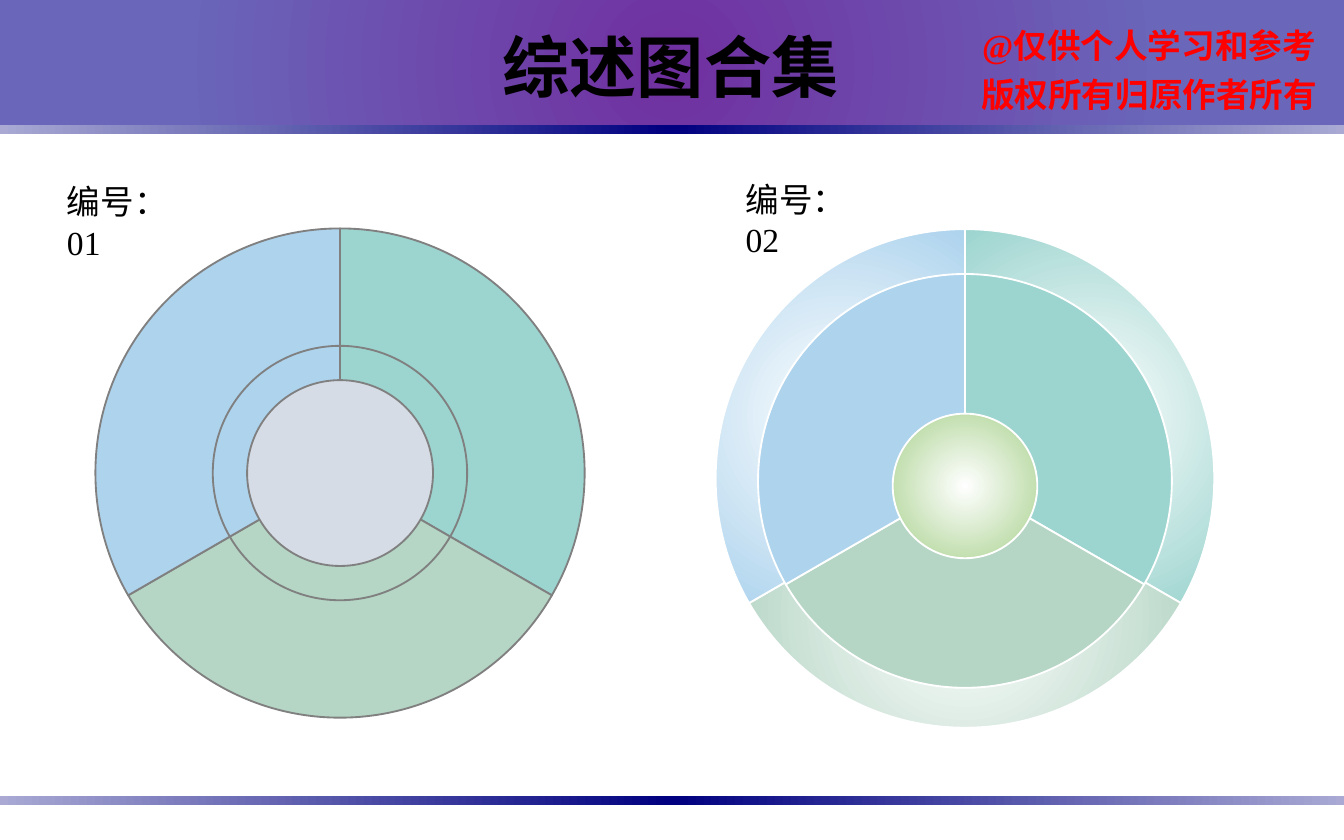
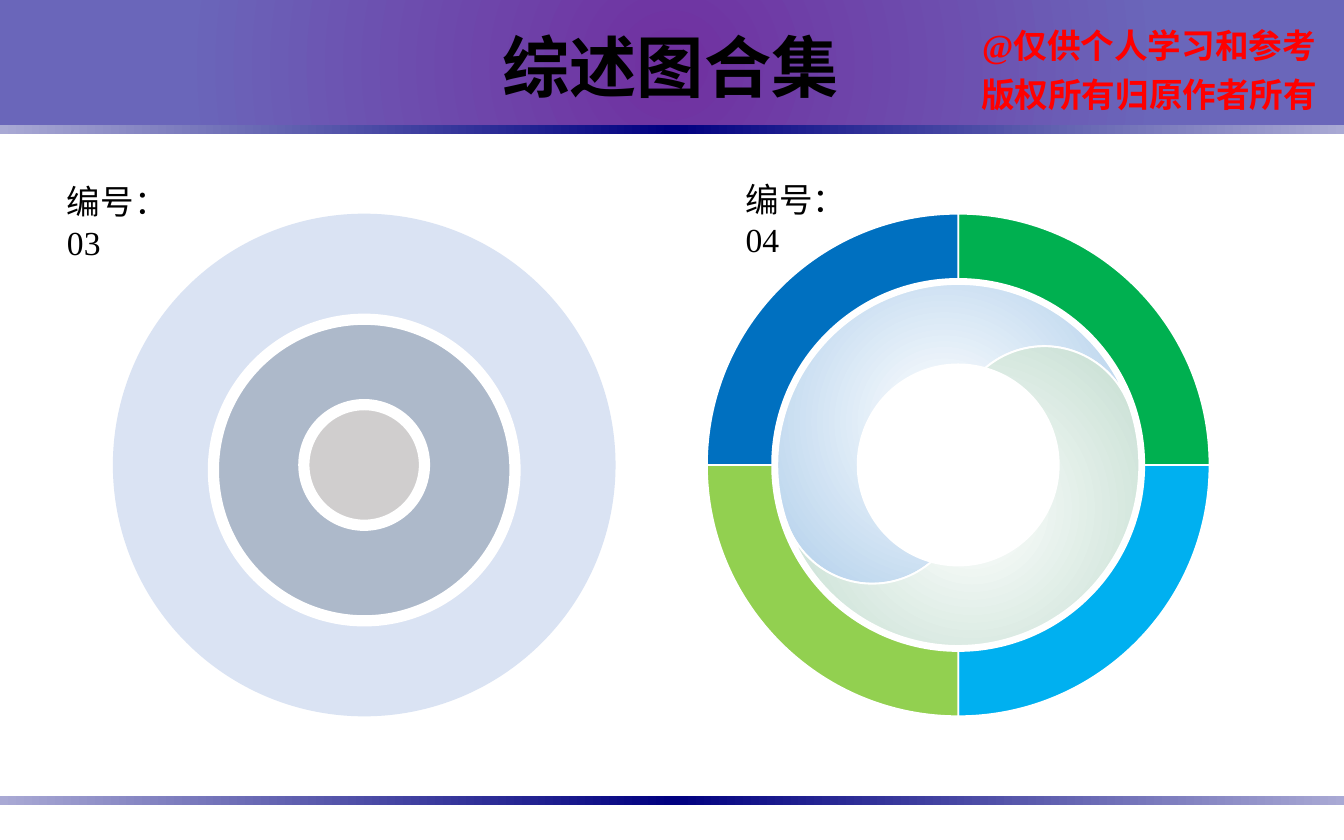
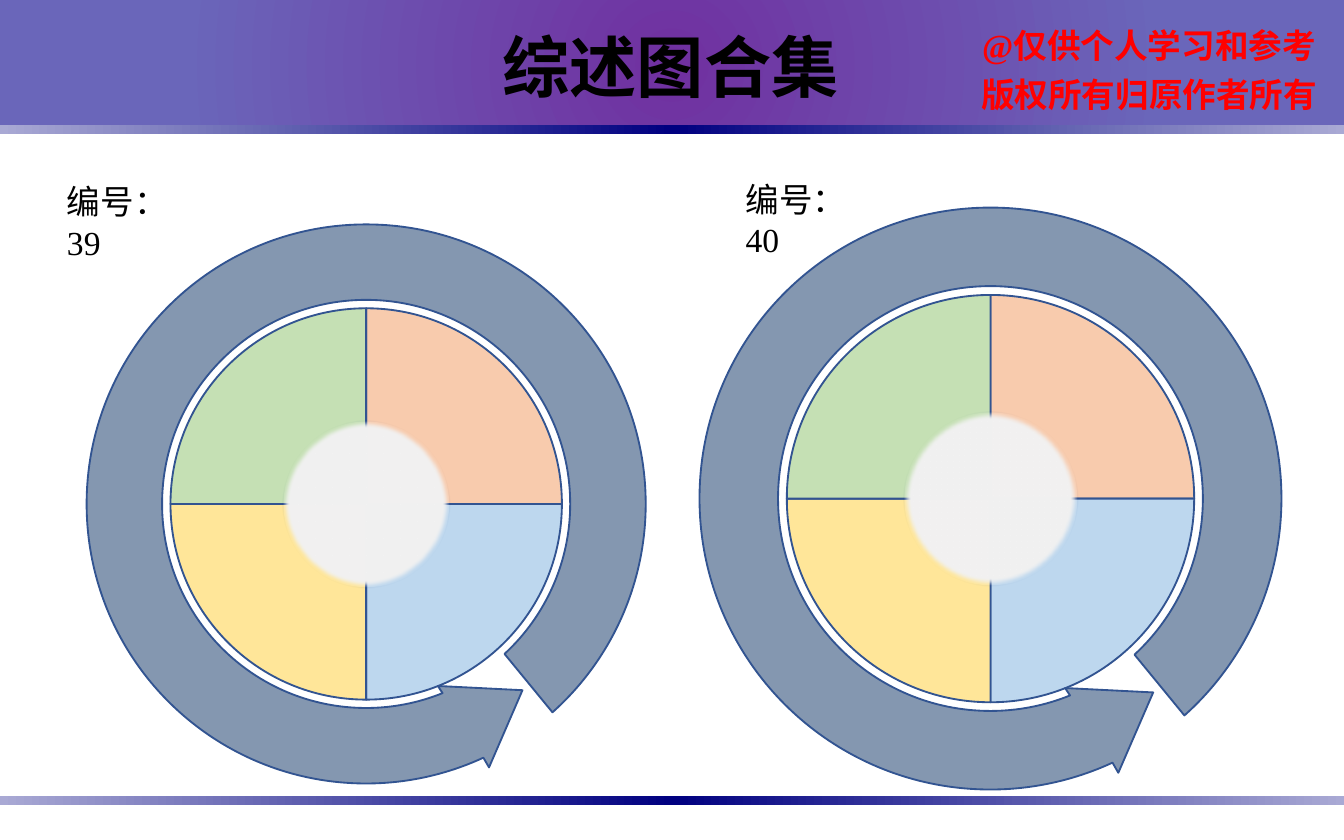
from dataclasses import dataclass
from itertools import chain, pairwise
from math import cos, radians, sin, tan

from lxml import etree
from pptx import Presentation
from pptx.dml.color import RGBColor
from pptx.enum.shapes import MSO_SHAPE as SHAPE
from pptx.enum.text import MSO_AUTO_SIZE as AUTO_SIZE, PP_ALIGN as ALIGN
from pptx.oxml.ns import qn
from pptx.util import Inches, Pt

SLIDE_W, SLIDE_H = Inches(10), Inches(6.25)
COLUMNS = 100
CELL = SLIDE_W / COLUMNS  # square cells: 100 columns by 62.5 rows

WHITE = RGBColor(0xFF, 0xFF, 0xFF)
BLACK = RGBColor(0x00, 0x00, 0x00)
RED = RGBColor(0xFF, 0x00, 0x00)
GREY = RGBColor(0x80, 0x80, 0x80)
PURPLE = RGBColor(0x70, 0x30, 0xA0)
VIOLET = RGBColor(0x6A, 0x66, 0xBA)
LAVENDER = RGBColor(0xA9, 0xA9, 0xD4)
NAVY = RGBColor(0x00, 0x00, 0x80)
TEAL = RGBColor(0x9C, 0xD4, 0xCF)
SAGE = RGBColor(0xB5, 0xD5, 0xC5)
SKY = RGBColor(0xAD, 0xD3, 0xED)
LEAF = RGBColor(0xA9, 0xD1, 0x8E)
MIST = RGBColor(0xD6, 0xDC, 0xE5)
PALE_BLUE = RGBColor(0xDA, 0xE3, 0xF3)
STEEL = RGBColor(0xAD, 0xB9, 0xCA)
SILVER = RGBColor(0xD0, 0xCE, 0xCE)
SWIRL_BLUE = RGBColor(0x9D, 0xC3, 0xE6)
GREEN = RGBColor(0x00, 0xB0, 0x50)
CYAN = RGBColor(0x00, 0xB0, 0xF0)
LIME = RGBColor(0x92, 0xD0, 0x50)
BLUE = RGBColor(0x00, 0x70, 0xC0)
PEACH = RGBColor(0xF8, 0xCB, 0xAD)
ICE = RGBColor(0xBD, 0xD7, 0xEE)
BUTTER = RGBColor(0xFF, 0xE6, 0x99)
MINT = RGBColor(0xC5, 0xE0, 0xB4)
HUB_GREY = RGBColor(0xF2, 0xF2, 0xF2)
SLATE = RGBColor(0x84, 0x97, 0xB0)
INK = RGBColor(0x32, 0x54, 0x91)

THIRDS = (TEAL, SAGE, SKY)
RING_QUARTERS = (GREEN, CYAN, LIME, BLUE)
PIE_QUARTERS = (PEACH, ICE, BUTTER, MINT)

TITLE_FONT = {"name": "Arial", "size": Pt(36), "bold": True}
NOTICE_FONT = {"name": "Times New Roman", "size": Pt(18), "bold": True}
LABEL_FONT = {"name": "Times New Roman", "size": Pt(18), "bold": False}


@dataclass(frozen=True)
class Gradient:
    stops: tuple
    radial: bool = True


HEADER_FILL = Gradient(((0, PURPLE), (73, VIOLET)))
BAND_FILL = Gradient(((0, LAVENDER), (50, NAVY), (100, LAVENDER)), radial=False)


def glow(color):
    """Radial fill from white in the middle to the colour."""
    return Gradient(((0, WHITE), (100, color)))


def gradient_element(gradient):
    fill = etree.Element(qn("a:gradFill"), rotWithShape="1")
    stops = etree.SubElement(fill, qn("a:gsLst"))
    for position, color in gradient.stops:
        stop = etree.SubElement(stops, qn("a:gs"), pos=str(position * 1000))
        etree.SubElement(stop, qn("a:srgbClr"), val=str(color))
    if gradient.radial:
        circle = etree.SubElement(fill, qn("a:path"), {"path": "circle"})
        middle = dict.fromkeys("ltrb", "50000")
        etree.SubElement(circle, qn("a:fillToRect"), middle)
    else:
        etree.SubElement(fill, qn("a:lin"), ang="0", scaled="0")
    return fill


def paint(shape, fill=None, line=None, width=1):
    shape.shadow.inherit = False
    if fill is None:
        shape.fill.background()
    else:
        shape.fill.solid()
        if isinstance(fill, Gradient):
            solid = shape.element.spPr.find(qn("a:solidFill"))
            solid.getparent().replace(solid, gradient_element(fill))
        else:
            shape.fill.fore_color.rgb = fill
    if line is None:
        shape.line.fill.background()
    else:
        shape.line.color.rgb = line
        shape.line.width = Pt(width)
    return shape


def cells(*lengths):
    return [round(length * CELL) for length in lengths]


def add_bar(slide, top, height, fill):
    box = cells(0, top, COLUMNS, height)
    return paint(slide.shapes.add_shape(SHAPE.RECTANGLE, *box), fill)


def add_disc(slide, center, radius, fill=None, line=None, width=1):
    x, y = center
    box = cells(x - radius, y - radius, 2 * radius, 2 * radius)
    return paint(slide.shapes.add_shape(SHAPE.OVAL, *box), fill, line, width)


def on_circle(center, radius, angle):
    """Point at an angle that runs clockwise from the top, in degrees."""
    x, y = center
    return x + radius * sin(radians(angle)), y - radius * cos(radians(angle))


def arc(center, radius, start, end):
    """Start point, then two handles and an end point for each Bezier curve."""
    low, high = sorted((start, end))
    cuts = [a for a in range(-360, 720, 90) if low < a < high]
    angles = [start, *sorted(cuts, reverse=start > end), end]
    points = [on_circle(center, radius, start)]
    for a, b in pairwise(angles):
        reach = 4 / 3 * tan(radians(b - a) / 4) * radius
        (ax, ay), (bx, by) = (on_circle(center, radius, angle) for angle in (a, b))
        a, b = radians(a), radians(b)
        points += [(ax + reach * cos(a), ay + reach * sin(a)),
                   (bx - reach * cos(b), by - reach * sin(b)),
                   (bx, by)]
    return points


def add_outline(slide, parts, fill, line):
    """Closed outline of parts, each a lone corner or the points of an arc."""
    first, *rest = [cells(*point) for point in chain.from_iterable(parts)]
    builder = slide.shapes.build_freeform(*first)
    builder.add_line_segments(rest, close=True)
    shape = builder.convert_to_shape()
    outline = next(shape.element.spPr.iter(qn("a:path")))
    steps = iter(list(outline))
    for part in parts:
        next(steps)
        for _ in range(len(part) // 3):
            curve = etree.Element(qn("a:cubicBezTo"))
            handle, *others = (next(steps) for _ in range(3))
            outline.replace(handle, curve)
            curve.append(handle[0])
            for other in others:
                curve.append(other[0])
                outline.remove(other)
    return paint(shape, fill, line)


def add_sectors(slide, center, inner, outer, fills, line):
    """Equal ring sectors, clockwise from the top."""
    sweep = 360 / len(fills)
    for i, fill in enumerate(fills):
        start, end = i * sweep, (i + 1) * sweep
        hole = arc(center, inner, end, start) if inner else [center]
        add_outline(slide, [arc(center, outer, start, end), hole], fill, line)


def add_text(slide, box, lines, font, color, align=ALIGN.LEFT, spacing=1):
    text_box = slide.shapes.add_textbox(*cells(*box))
    frame = text_box.text_frame
    frame.word_wrap = False
    frame.auto_size = AUTO_SIZE.SHAPE_TO_FIT_TEXT
    for i, line in enumerate(lines):
        paragraph = frame.add_paragraph() if i else frame.paragraphs[0]
        paragraph.alignment = align
        paragraph.line_spacing = spacing
        run = paragraph.add_run()
        run.text = line
        for key, value in font.items():
            setattr(run.font, key, value)
        run.font.color.rgb = color
    return frame


def add_label(slide, left, top, number):
    frame = add_text(slide, (left, top, 12.1, 4), [f"编号：{number}"], LABEL_FONT, BLACK)
    frame.word_wrap = True
    frame.margin_right = Inches(0.2)


def add_frame(slide):
    """Header, bands and title that all slides share."""
    add_bar(slide, -0.1, 9.9, HEADER_FILL)
    add_text(slide, (71.7, 0.8, 27.6, 7.9),
             ["@仅供个人学习和参考", "版权所有归原作者所有"],
             NOTICE_FONT, RED, ALIGN.CENTER, 1.2)
    for top in (9.3, 59.2):
        add_bar(slide, top, 0.7, BAND_FILL)
    add_text(slide, (36.4, 1.4, 27.3, 7.1), ["综述图合集"], TITLE_FONT, BLACK)


def three_part_wheel(slide, center, radius):
    add_sectors(slide, center, 0.19 * radius, radius, THIRDS, GREY)
    add_disc(slide, center, 0.38 * radius, MIST, GREY)
    add_disc(slide, center, 0.52 * radius, None, GREY)


def glowing_wheel(slide, center, radius):
    x, y = center
    inner_center = (x, y + 0.01 * radius)
    hub_center = (x, y + 0.03 * radius)
    rim_fills = [glow(color) for color in THIRDS]
    add_sectors(slide, center, 0.19 * radius, radius, rim_fills, WHITE)
    add_sectors(slide, inner_center, 0.16 * radius, 0.83 * radius, THIRDS, WHITE)
    add_disc(slide, hub_center, 0.29 * radius, glow(LEAF), WHITE)


def nested_discs(slide, center, radius):
    x, y = center
    add_disc(slide, center, radius, PALE_BLUE)
    add_disc(slide, (x, y + 0.02 * radius), 0.6 * radius, STEEL, WHITE, 6)
    add_disc(slide, center, 0.24 * radius, SILVER, WHITE, 6)


def add_swirl_half(slide, center, radius, side, fill, turn=71.8):
    """One of two interlocking halves; side is 1 for left, -1 for right."""
    half = radius / 2
    edges = (arc((0, 0), radius, 0, -180),
             arc((0, half), half, 180, 0),
             arc((0, -half), half, 180, 360))
    x, y = center
    parts = [[(x + side * dx, y + side * dy) for dx, dy in edge] for edge in edges]
    swirl = add_outline(slide, parts, fill, WHITE)
    shift = -side * half / 2
    middle_x, middle_y = cells(x + shift * cos(radians(turn)),
                               y + shift * sin(radians(turn)))
    swirl.left = middle_x - swirl.width // 2
    swirl.top = middle_y - swirl.height // 2
    swirl.rotation = turn


def swirl_ring(slide, center, radius):
    for side, color in ((1, SWIRL_BLUE), (-1, SAGE)):
        add_swirl_half(slide, center, 0.72 * radius, side, glow(color))
    add_disc(slide, center, 0.4 * radius, WHITE, WHITE)
    add_sectors(slide, center, 0.74 * radius, radius, RING_QUARTERS, WHITE)


def arrow_wheel(slide, center, radius):
    """Quartered pie with a soft hub inside a circular arrow."""
    add_sectors(slide, center, 0, 0.7 * radius, PIE_QUARTERS, INK)
    hub = add_disc(slide, center, 0.3 * radius, HUB_GREY, INK)
    effects = hub.element.spPr.find(qn("a:effectLst"))
    etree.SubElement(effects, qn("a:softEdge"), rad=str(Pt(2.5)))

    head = [[on_circle(center, share * radius, angle)]
            for share, angle in ((0.7, 158.5), (0.87, 140), (1.04, 155))]
    body = [arc(center, radius, 155.2, 498.2),
            arc(center, 0.73 * radius, 497.3, 158)]
    add_outline(slide, body + head, SLATE, INK)


SLIDES = (
    (("01", three_part_wheel, (25.3, 35.2), 18.2),
     ("02", glowing_wheel, (71.8, 35.6), 18.55)),
    (("03", nested_discs, (27.1, 34.6), 18.7),
     ("04", swirl_ring, (71.3, 34.6), 18.7)),
    (("39", arrow_wheel, (27.25, 37.5), 20.8),
     ("40", arrow_wheel, (73.7, 37.1), 21.65)),
)
LABEL_CORNERS = ((4, 13), (54.5, 12.8))


def main():
    deck = Presentation()
    deck.slide_width, deck.slide_height = SLIDE_W, SLIDE_H
    for diagrams in SLIDES:
        slide = deck.slides.add_slide(deck.slide_layouts[6])
        add_frame(slide)
        for corner, (number, draw, center, radius) in zip(LABEL_CORNERS, diagrams):
            draw(slide, center, radius)
            add_label(slide, *corner, number)
    deck.save("out.pptx")


if __name__ == "__main__":
    main()
